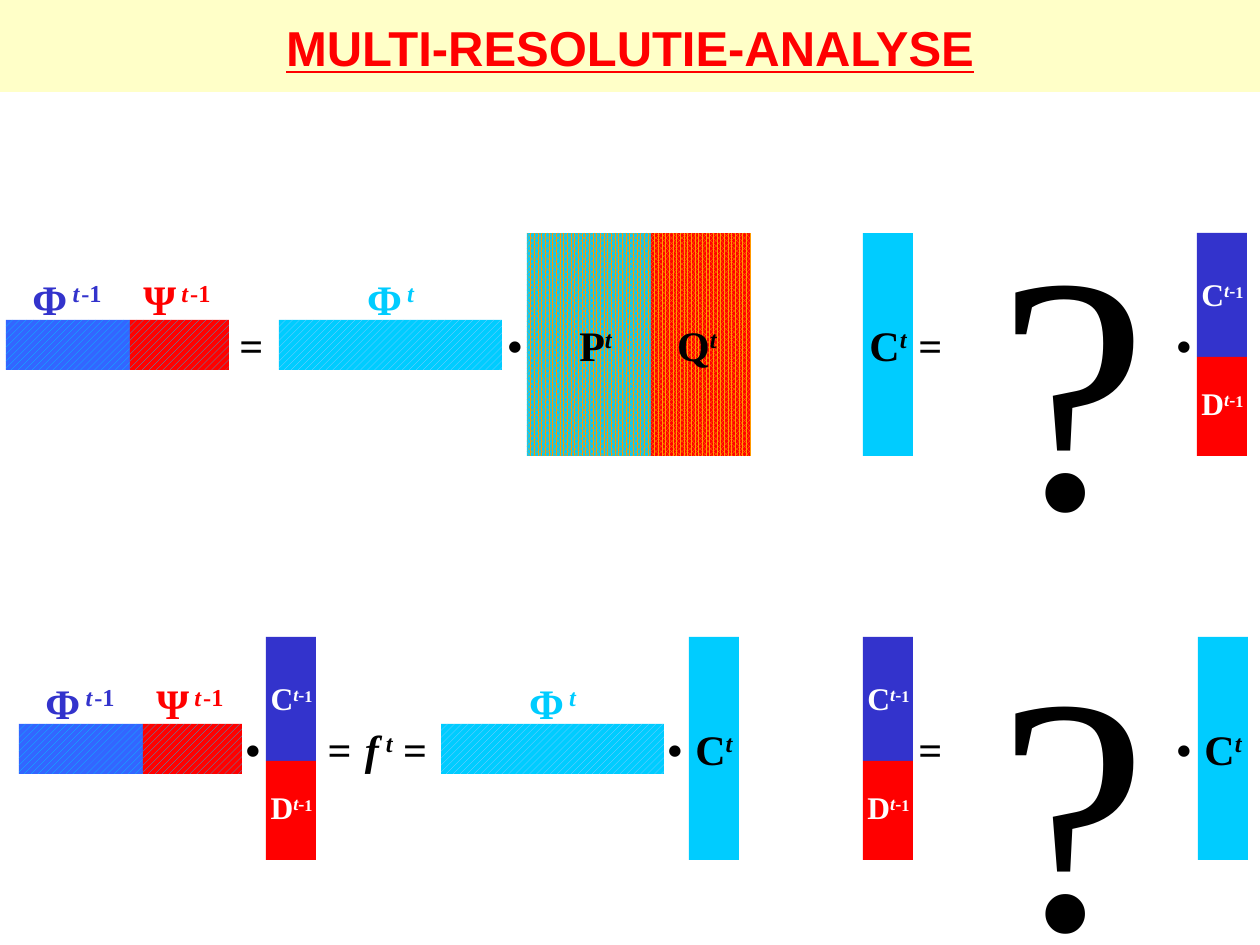
import pptx
import pptx.dml.color
import pptx.enum.dml
import pptx.enum.text
import pptx.util

PX = 914400 // 126
COLORS = {
    "banner": "FFFFC8", "red": "FF0000", "blue": "3333CC", "royal": "3366FF",
    "cyan": "00CCFF", "pale": "99CCFF", "orange": "FF9900",
    "black": "000000", "white": "FFFFFF",
}
DIAGONAL = pptx.enum.dml.MSO_PATTERN.WIDE_UPWARD_DIAGONAL
DOTS = pptx.enum.dml.MSO_PATTERN.PERCENT_80
SERIF = "Times New Roman"
COARSE, FINE = 124, 99
FULL = COARSE + FINE
THICK = 50
BASIS_T = [(" ", 12, True, 0), ("t", 24, True, 30), (" ", 8, True, 30)]
BASIS_T1 = BASIS_T + [("-1", 24, False, 30)]
SUP_T = [("t", 24, True, 30)]
SUP_T1 = [("t", 18, True, 30), ("-", 18, False, 30), ("1", 16, False, 30)]


def rgb(name):
    """Return the named colour."""
    return pptx.dml.color.RGBColor.from_string(COLORS[name])


def add_rect(s, x, y, w, h, color, pattern=None, fore=None):
    """Add a borderless rectangle with a solid or patterned fill."""
    sp = s.shapes.add_shape(pptx.enum.shapes.MSO_SHAPE.RECTANGLE,
                            x * PX, y * PX, w * PX, h * PX)
    sp.shadow.inherit = False
    sp.line.fill.background()
    if pattern is None:
        sp.fill.solid()
        sp.fill.fore_color.rgb = rgb(color)
    else:
        sp.fill.patterned()
        sp.fill.pattern = pattern
        sp.fill.fore_color.rgb = rgb(fore)
        sp.fill.back_color.rgb = rgb(color)


def style_run(r, size, color, font=SERIF, bold=True, italic=False):
    """Set the font of a run."""
    r.font.name = font
    r.font.size = pptx.util.Pt(size)
    r.font.bold = bold
    r.font.italic = italic
    r.font.color.rgb = rgb(color)


def add_box(s, x, y, w, h, wrap=False):
    """Add an empty text box and return its text frame."""
    tf = s.shapes.add_textbox(x * PX, y * PX, w * PX, h * PX).text_frame
    tf.word_wrap = wrap
    return tf


def add_formula(s, x, y, w, h, color, runs):
    """Add a centred symbol made of (text, size, italic, baseline) runs."""
    p = add_box(s, x, y, w, h).paragraphs[0]
    p.alignment = pptx.enum.text.PP_ALIGN.CENTER
    for text, size, italic, baseline in runs:
        r = p.add_run()
        r.text = text
        style_run(r, size, color, italic=italic)
        if baseline:
            r._r.get_or_add_rPr().set("baseline", str(baseline * 1000))


def add_symbol(s, x, top, w, letter, sup=()):
    """Add a black symbol on the centre line of a row."""
    add_formula(s, x, top + 80, w, 63, "black", [(letter, 24, False, 0), *sup])


def add_bases(s, x, top):
    """Add the adjoining coarse scaling and wavelet bars."""
    bars = [("Φ", 0, COARSE, "royal", "blue", 13),
            ("Ψ", COARSE, FINE, "red", "red", 123)]
    for letter, dx, w, fill, color, label in bars:
        add_rect(s, x + dx, top + 87, w, THICK, fill, DIAGONAL, "cyan")
        add_formula(s, x + label, top + 34, 96, 63, color,
                    [(letter, 24, False, 0)] + BASIS_T1)


def add_fine_basis(s, x, top):
    """Add the fine scaling bar."""
    add_rect(s, x, top + 87, FULL, THICK, "cyan", DIAGONAL, "pale")
    add_formula(s, x + 75, top + 34, 73, 63, "cyan",
                [("Φ", 24, False, 0)] + BASIS_T)


def add_coarse_column(s, x, top):
    """Add the stacked C and D coefficient column."""
    for letter, dy, h, color, label in [("C", 0, COARSE, "blue", 36),
                                        ("D", COARSE, FINE, "red", 145)]:
        add_rect(s, x, top + dy, THICK, h, color)
        add_formula(s, x - 10, top + label, 71, 50, "white",
                    [(letter, 18, False, 0)] + SUP_T1)


def add_fine_column(s, x, top):
    """Add the fine coefficient column."""
    add_rect(s, x, top, THICK, FULL, "cyan")
    add_symbol(s, x - 7, top, 64, "C", SUP_T)


def add_filters(s, x, top):
    """Add the P and Q filter matrices."""
    add_rect(s, x, top, COARSE, FULL, "cyan", DOTS, "orange")
    add_rect(s, x + COARSE, top, FINE, FULL, "red", DOTS, "orange")
    add_symbol(s, x + 39, top, 59, "P", SUP_T)
    add_symbol(s, x + 137, top, 66, "Q", SUP_T)


def add_title(s):
    """Add the banner and the title."""
    add_rect(s, 0, 0, 1260, 92, "banner")
    tf = add_box(s, 0, 0, 1260, 94, wrap=True)
    tf.vertical_anchor = pptx.enum.text.MSO_ANCHOR.MIDDLE
    p = tf.paragraphs[0]
    p.text = "MULTI-RESOLUTIE-ANALYSE"
    p.alignment = pptx.enum.text.PP_ALIGN.CENTER
    style_run(p.runs[0], 28, "red", font="Arial")
    p.runs[0].font.underline = True


def add_questions(s):
    """Add the large question marks, one per row."""
    tf = add_box(s, 985, 129, 176, 816)
    tf.margin_top = 44 * PX
    tf.text = "?\n?"
    for p in tf.paragraphs:
        p.alignment = pptx.enum.text.PP_ALIGN.CENTER
        p.space_after = pptx.util.Pt(10)
        style_run(p.runs[0], 192, "black", bold=False)


def main():
    """Build the slide."""
    prs = pptx.Presentation()
    prs.slide_width, prs.slide_height = 1260 * PX, 945 * PX
    s = prs.slides.add_slide(prs.slide_layouts[6])
    add_title(s)
    upper, lower = 233, 637

    add_bases(s, 6, upper)
    add_fine_basis(s, 279, upper)
    add_filters(s, 527, upper)
    add_fine_column(s, 863, upper)
    add_coarse_column(s, 1197, upper)

    add_bases(s, 19, lower)
    add_coarse_column(s, 266, lower)
    add_symbol(s, 352, lower, 88, "", [("f", 24, True, 0), (" ", 16, True, 0),
                                       *SUP_T, (" =", 24, False, 0)])
    add_fine_basis(s, 441, lower)
    add_fine_column(s, 689, lower)
    add_coarse_column(s, 863, lower)
    add_fine_column(s, 1198, lower)

    for top, equals, dots in [(upper, (227, 906), (495, 1164)),
                              (lower, (315, 906), (233, 655, 1164))]:
        for x in equals:
            add_symbol(s, x, top, 49, "=")
        for x in dots:
            add_symbol(s, x, top, 40, "•")
    add_questions(s)
    prs.save("out.pptx")


if __name__ == "__main__":
    main()
